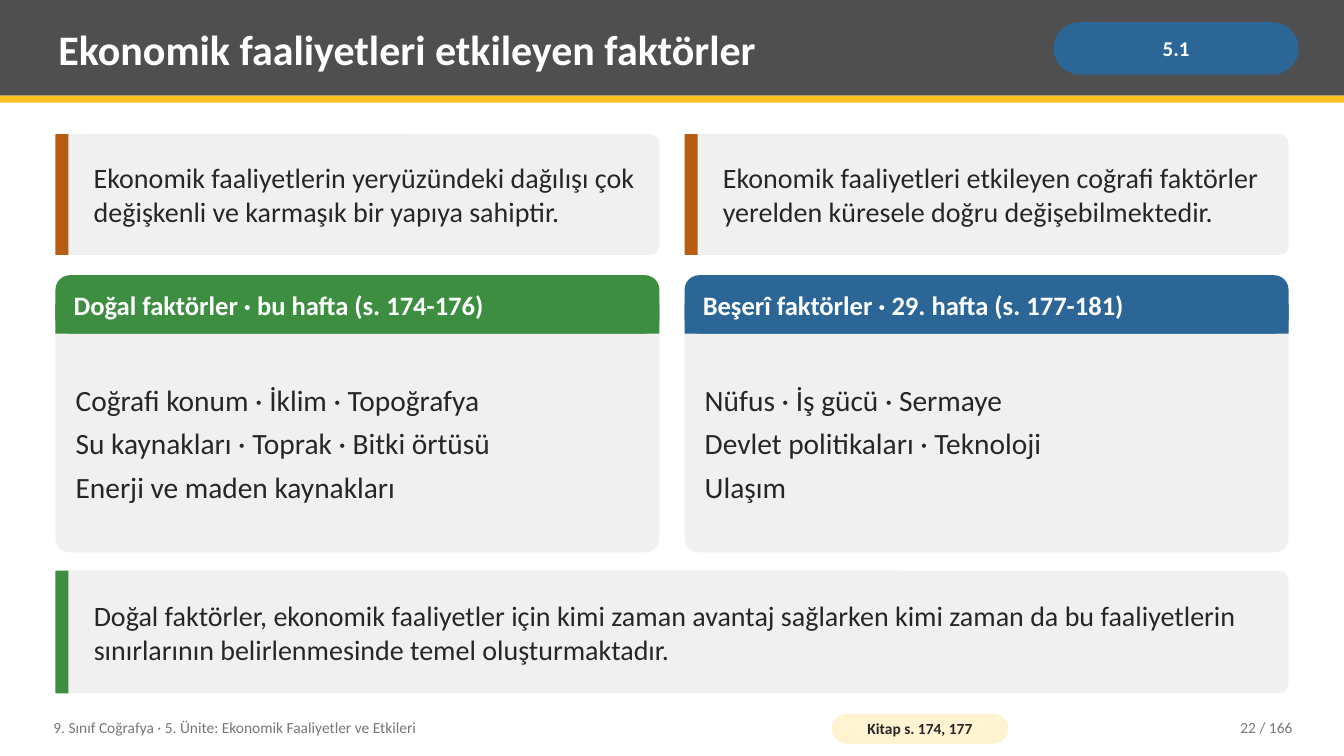
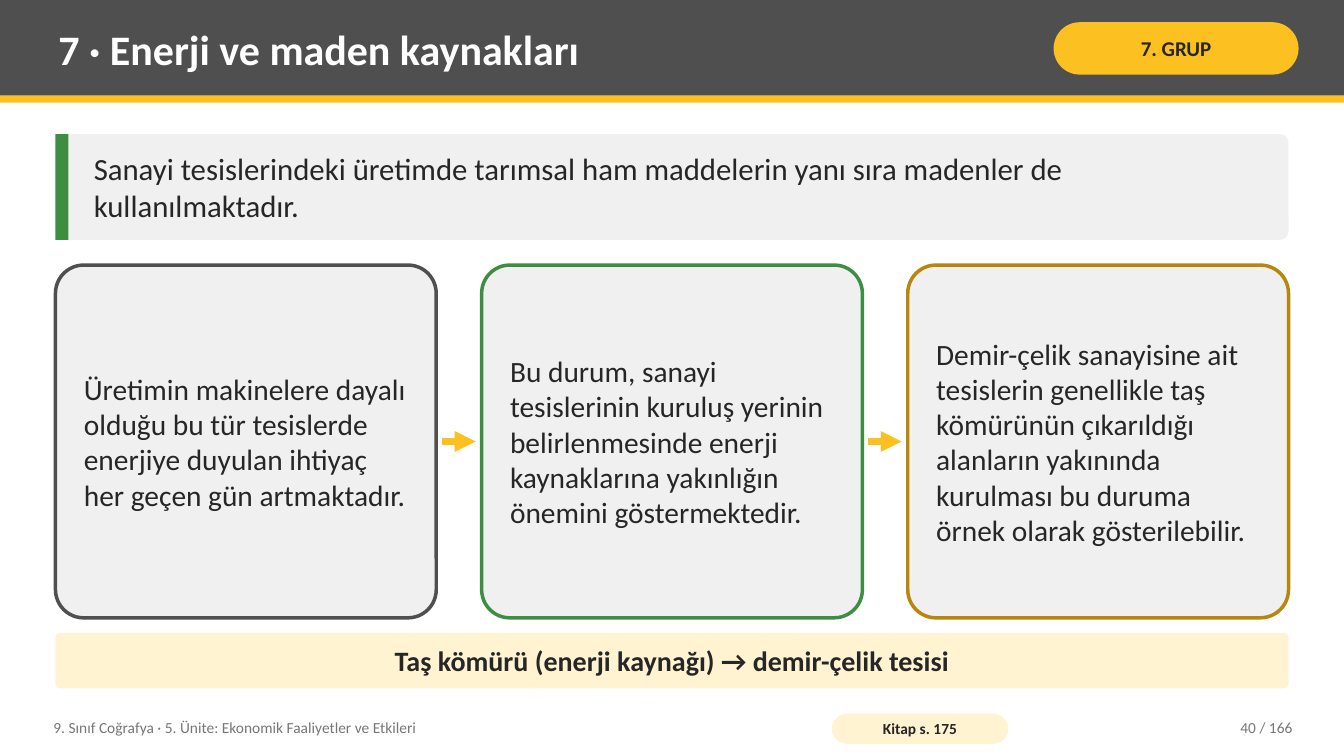
from dataclasses import dataclass
from typing import NamedTuple

import pptx
import pptx.dml.color
import pptx.enum.shapes
import pptx.enum.text
import pptx.oxml
import pptx.oxml.ns
import pptx.util

Inches = pptx.util.Inches
SHAPE = pptx.enum.shapes.MSO_SHAPE
ALIGN = pptx.enum.text.PP_ALIGN


@dataclass(frozen=True)
class Theme:
    font: str = "Calibri"
    # Colours
    dark: str = "4F4F4F"
    yellow: str = "FCC021"
    cream: str = "FFF3D1"
    panel: str = "F0F0F0"
    blue: str = "2C6696"
    green: str = "3E8E41"
    orange: str = "B85C12"
    gold: str = "B8860B"
    ink: str = "262626"
    grey: str = "767676"
    white: str = "FFFFFF"
    # Type sizes
    title: int = 30
    lead: int = 22
    body: int = 21
    note: int = 20
    heading: int = 19
    badge: int = 15
    footer: int = 11


THEME = Theme()
UNIT = "9. Sınıf Coğrafya · 5. Ünite: Ekonomik Faaliyetler ve Etkileri"
PAGE_TOTAL = 166


class Box(NamedTuple):
    left: float
    top: float
    width: float
    height: float

    def lengths(self):
        return [Inches(value) for value in self]

    def inset(self, left, top, right, bottom):
        return Box(self.left + left, self.top + top,
                   self.width - left - right, self.height - top - bottom)

    def columns(self, count, gap):
        width = (self.width - gap * (count - 1)) / count
        return [Box(self.left + index * (width + gap), self.top, width, self.height)
                for index in range(count)]


def content(top, height):
    """Full-width row between the side margins."""
    return Box(0.55, top, 12.23, height)


def rgb(value):
    return pptx.dml.color.RGBColor.from_string(value)


# Basic parts
def write(shape, lines, size, color=THEME.ink, bold=False, align=ALIGN.LEFT,
          margins=(0.08, 0.04), space_after=0):
    frame = shape.text_frame
    frame.word_wrap = True
    frame.auto_size = pptx.enum.text.MSO_AUTO_SIZE.NONE
    frame.vertical_anchor = pptx.enum.text.MSO_ANCHOR.MIDDLE
    frame.margin_left = frame.margin_right = Inches(margins[0])
    frame.margin_top = frame.margin_bottom = Inches(margins[1])
    for index, line in enumerate(lines):
        para = frame.add_paragraph() if index else frame.paragraphs[0]
        para.alignment = align
        if index < len(lines) - 1:
            para.space_after = pptx.util.Pt(space_after)
        span = para.add_run()
        span.text = line
        span.font.name = THEME.font
        span.font.size = pptx.util.Pt(size)
        span.font.bold = bold
        span.font.color.rgb = rgb(color)


def add_text(page, box, lines, size, **style):
    write(page.shapes.add_textbox(*box.lengths()), lines, size, **style)


def add_block(page, box, fill, radius=None, outline=None):
    kind = SHAPE.RECTANGLE if radius is None else SHAPE.ROUNDED_RECTANGLE
    shape = page.shapes.add_shape(kind, *box.lengths())
    shape.shadow.inherit = False
    if radius is not None:
        shape.adjustments[0] = radius
    shape.fill.solid()
    shape.fill.fore_color.rgb = rgb(fill)
    if outline:
        shape.line.color.rgb = rgb(outline)
        shape.line.width = pptx.util.Pt(2.5)
    else:
        shape.line.fill.background()
    return shape


def add_arrow(page, left, right, y):
    arrow = page.shapes.add_connector(
        pptx.enum.shapes.MSO_CONNECTOR.STRAIGHT,
        Inches(left), Inches(y), Inches(right), Inches(y))
    arrow.line.color.rgb = rgb(THEME.yellow)
    arrow.line.width = pptx.util.Pt(5)
    head = pptx.oxml.parse_xml(
        f'<a:tailEnd {pptx.oxml.ns.nsdecls("a")} type="triangle"/>')
    arrow.line._get_or_add_ln().append(head)
    effects = pptx.oxml.parse_xml(f'<a:effectLst {pptx.oxml.ns.nsdecls("a")}/>')
    arrow.element.spPr.append(effects)


# Regions shared by the slides
def add_header(page, box, title, badge, badge_fill, badge_color):
    add_block(page, box, THEME.dark)
    add_block(page, Box(box.left, box.top + box.height, box.width, 0.07), THEME.yellow)
    heading = page.shapes.title
    page.shapes.element.append(heading.element)  # bring the title above the band
    place = Box(box.left + 0.5, box.top + 0.07, 9.75, 0.82)
    heading.left, heading.top, heading.width, heading.height = place.lengths()
    write(heading, [title], THEME.title, color=THEME.white, bold=True)
    pill = add_block(page, Box(box.left + 10.45, box.top + 0.22, 2.43, 0.52),
                     badge_fill, radius=0.5)
    write(pill, [badge], THEME.badge, color=badge_color, bold=True,
          align=ALIGN.CENTER, margins=(0.05, 0.02))


def add_footer(page, box, source, number):
    add_text(page, Box(box.left, box.top, 7.6, box.height), [UNIT],
             THEME.footer, color=THEME.grey)
    pill = add_block(page, Box(box.left + 7.8, box.top + 0.04, 1.75, 0.3),
                     THEME.cream, radius=0.5)
    write(pill, [source], THEME.footer, bold=True, align=ALIGN.CENTER, margins=(0.04, 0))
    add_text(page, Box(box.left + box.width - 1.6, box.top, 1.6, box.height),
             [f"{number} / {PAGE_TOTAL}"], THEME.footer, color=THEME.grey,
             align=ALIGN.RIGHT)


def add_page(deck, title, badge, badge_fill, badge_color, source, number):
    page = deck.slides.add_slide(deck.slide_layouts.get_by_name("Title Only"))
    add_header(page, Box(0, 0, 13.33, 0.95), title, badge, badge_fill, badge_color)
    add_footer(page, Box(0.45, 7.04, 12.45, 0.36), source, number)
    return page


def add_callout(page, box, text, accent, size=THEME.note):
    """Grey panel with a coloured bar on its left side."""
    add_block(page, box, THEME.panel, radius=0.08)
    add_block(page, box._replace(width=0.13), accent)
    add_text(page, box.inset(0.3, 0, 0.15, 0), [text], size)


def add_topic_card(page, box, heading, lines, accent):
    """Grey card under a heading band with rounded upper corners."""
    band = box._replace(height=0.58)
    add_block(page, box, THEME.panel, radius=0.05)
    add_block(page, band, accent, radius=0.25)
    add_block(page, band.inset(0, 0.29, 0, 0), accent)
    add_text(page, band.inset(0.1, 0, 0.1, 0), [heading], THEME.heading,
             color=THEME.white, bold=True)
    add_text(page, box.inset(0.12, 0.66, 0.12, 0.08), lines, THEME.body, space_after=6)


def add_flow(page, box, steps, gap=0.45, clearance=0.06):
    """Outlined cards in a row, with an arrow in each gap."""
    cards = box.columns(len(steps), gap)
    for card, (text, outline) in zip(cards, steps):
        shape = add_block(page, card, THEME.panel, radius=0.08, outline=outline)
        write(shape, [text], THEME.body, margins=(0.2, 0.08))
    for card in cards[1:]:
        add_arrow(page, card.left - gap + clearance, card.left - clearance,
                  box.top + box.height / 2)


# Slides
def build_factors(deck):
    page = add_page(deck, "Ekonomik faaliyetleri etkileyen faktörler", "5.1",
                    THEME.blue, THEME.white, "Kitap s. 174, 177", 22)
    facts = [
        "Ekonomik faaliyetlerin yeryüzündeki dağılışı çok değişkenli ve karmaşık "
        "bir yapıya sahiptir.",
        "Ekonomik faaliyetleri etkileyen coğrafi faktörler yerelden küresele doğru "
        "değişebilmektedir.",
    ]
    for box, fact in zip(content(1.33, 1.2).columns(2, 0.25), facts):
        add_callout(page, box, fact, THEME.orange)
    topics = [
        ("Doğal faktörler · bu hafta (s. 174-176)",
         ["Coğrafi konum · İklim · Topoğrafya",
          "Su kaynakları · Toprak · Bitki örtüsü",
          "Enerji ve maden kaynakları"], THEME.green),
        ("Beşerî faktörler · 29. hafta (s. 177-181)",
         ["Nüfus · İş gücü · Sermaye",
          "Devlet politikaları · Teknoloji",
          "Ulaşım"], THEME.blue),
    ]
    for box, topic in zip(content(2.73, 2.75).columns(2, 0.25), topics):
        add_topic_card(page, box, *topic)
    add_callout(page, content(5.66, 1.22),
                "Doğal faktörler, ekonomik faaliyetler için kimi zaman avantaj sağlarken "
                "kimi zaman da bu faaliyetlerin sınırlarının belirlenmesinde temel "
                "oluşturmaktadır.", THEME.green)


def build_energy(deck):
    page = add_page(deck, "7 · Enerji ve maden kaynakları", "7. GRUP",
                    THEME.yellow, THEME.ink, "Kitap s. 175", 40)
    add_callout(page, content(1.33, 1.05),
                "Sanayi tesislerindeki üretimde tarımsal ham maddelerin yanı sıra "
                "madenler de kullanılmaktadır.", THEME.green, THEME.lead)
    add_flow(page, content(2.63, 3.5), [
        ("Üretimin makinelere dayalı olduğu bu tür tesislerde enerjiye duyulan "
         "ihtiyaç her geçen gün artmaktadır.", THEME.dark),
        ("Bu durum, sanayi tesislerinin kuruluş yerinin belirlenmesinde enerji "
         "kaynaklarına yakınlığın önemini göstermektedir.", THEME.green),
        ("Demir-çelik sanayisine ait tesislerin genellikle taş kömürünün çıkarıldığı "
         "alanların yakınında kurulması bu duruma örnek olarak gösterilebilir.",
         THEME.gold),
    ])
    summary = add_block(page, content(6.28, 0.55), THEME.cream, radius=0.08)
    write(summary, ["Taş kömürü (enerji kaynağı) → demir-çelik tesisi"], THEME.note,
          bold=True, align=ALIGN.CENTER, margins=(0.14, 0.08))


def main():
    deck = pptx.Presentation()
    deck.slide_width, deck.slide_height = Inches(13.33), Inches(7.5)
    build_factors(deck)
    build_energy(deck)
    deck.save("out.pptx")


if __name__ == "__main__":
    main()
